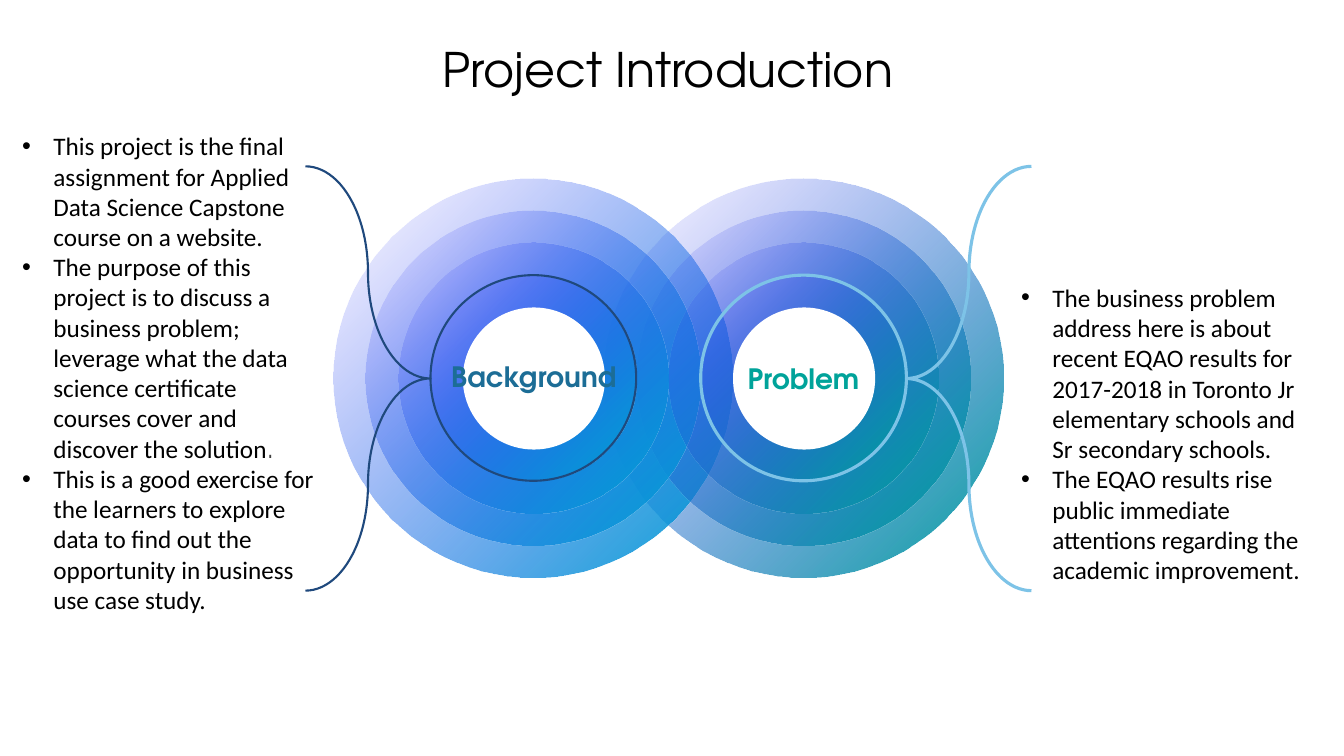
import pptx
import pptx.dml.color
import pptx.enum.shapes
import pptx.enum.text
import pptx.oxml
import pptx.oxml.ns
import pptx.util

EMU_PER_PX = 9144
SLIDE_SIZE = (1333, 750)
CENTER_Y = 375
RING_DIAMETERS = (396, 332, 268, 204)
HOLE_DIAMETER = 141
BULLET_INDENT = 31
HEADING_FONT = "TeX Gyre Adventor"
BODY_FONT = "Calibri"
COLORS = {
    "black": "000000",
    "white": "FFFFFF",
    "grey": "404040",
    "violet": "3D33FE",
    "cyan": "00A5D3",
    "teal": "00A39A",
    "navy": "1F497D",
    "sky": "7DC3E7",
    "steel": "1C6D96",
}
BACKGROUND_POINTS = (
    "This project is the final assignment for Applied Data Science Capstone course on a website.",
    "The purpose of this project is to discuss a business problem; leverage what the data "
    "science certificate courses cover and discover the solution",
    "This is a good exercise for the learners to explore data to find out the opportunity "
    "in business use case study.",
)
PROBLEM_POINTS = (
    "The business problem address here is about recent EQAO results for 2017-2018 in Toronto "
    "Jr elementary schools and Sr secondary schools.",
    "The EQAO results rise public immediate attentions regarding the academic improvement.",
)


def px(length):
    """Turn a length in px into EMU."""
    return pptx.util.Emu(length * EMU_PER_PX)


def rgb(name):
    """Look up a palette colour."""
    return pptx.dml.color.RGBColor.from_string(COLORS[name])


def write(paragraph, text, size=18, font=BODY_FONT, color="black", bold=False):
    """Append formatted text to a paragraph."""
    run = paragraph.add_run()
    run.text = text
    run.font.size = pptx.util.Pt(size)
    run.font.name = font
    run.font.bold = bold
    run.font.color.rgb = rgb(color)


def add_bullet(paragraph):
    """Give a paragraph a hanging round bullet."""
    properties = paragraph._p.get_or_add_pPr()
    properties.set("marL", str(px(BULLET_INDENT)))
    properties.set("indent", str(px(-BULLET_INDENT)))
    namespace = pptx.oxml.ns.nsdecls("a")
    properties.append(pptx.oxml.parse_xml(f'<a:buFont {namespace} typeface="Arial"/>'))
    properties.append(pptx.oxml.parse_xml(f'<a:buChar {namespace} char="•"/>'))


def set_up_frame(frame, middle=False):
    """Wrap a text frame and, if centred vertically, drop its margins."""
    anchors = pptx.enum.text.MSO_ANCHOR
    frame.word_wrap = True
    frame.auto_size = pptx.enum.text.MSO_AUTO_SIZE.SHAPE_TO_FIT_TEXT
    frame.vertical_anchor = anchors.MIDDLE if middle else anchors.TOP
    if middle:
        frame.margin_left = frame.margin_right = 0
        frame.margin_top = frame.margin_bottom = 0


def add_frame(slide, box, middle=False):
    """Add a text box and return its frame."""
    frame = slide.shapes.add_textbox(*map(px, box)).text_frame
    set_up_frame(frame, middle)
    return frame


def add_points(slide, points, box, middle=False):
    """Add a bulleted list and return its paragraphs."""
    frame = add_frame(slide, box, middle)
    for index, point in enumerate(points):
        paragraph = frame.add_paragraph() if index else frame.paragraphs[0]
        add_bullet(paragraph)
        write(paragraph, point)
    return frame.paragraphs


def add_label(slide, text, box, color):
    """Add the bold caption of a ring group."""
    paragraph = add_frame(slide, box, middle=True).paragraphs[0]
    paragraph.alignment = pptx.enum.text.PP_ALIGN.CENTER
    paragraph.line_spacing = 0.85
    write(paragraph, text, size=20, font=HEADING_FONT, color=color, bold=True)


def set_outline(shape, color=None, width=0):
    """Draw a shape's outline, or hide it when no colour is given."""
    if color:
        shape.line.color.rgb = rgb(color)
        shape.line.width = pptx.util.Pt(width)
    else:
        shape.line.fill.background()


def add_disc(slide, center_x, diameter):
    """Add a shadowless circle around a centre."""
    left, top = center_x - diameter // 2, CENTER_Y - diameter // 2
    disc = slide.shapes.add_shape(
        pptx.enum.shapes.MSO_SHAPE.OVAL, px(left), px(top), px(diameter), px(diameter))
    disc.shadow.inherit = False
    return disc


def fill_fading(shape, color):
    """Fill a shape with a radial gradient fading to the upper left."""
    gradient = pptx.oxml.parse_xml(
        f'<a:gradFill {pptx.oxml.ns.nsdecls("a")} rotWithShape="1"><a:gsLst>'
        f'<a:gs pos="0"><a:srgbClr val="{COLORS[color]}"/></a:gs>'
        f'<a:gs pos="100000"><a:srgbClr val="{COLORS["violet"]}"><a:alpha val="0"/></a:srgbClr></a:gs>'
        '</a:gsLst><a:path path="circle"><a:fillToRect l="100000" t="100000"/></a:path></a:gradFill>')
    shape._element.spPr.prstGeom.addnext(gradient)


def add_brace(slide, left, color, width, rotation=0):
    """Add a curly brace pointing at a ring group."""
    brace = slide.shapes.add_shape(
        pptx.enum.shapes.MSO_SHAPE.RIGHT_BRACE, px(left), px(165), px(124), px(421))
    brace.adjustments[0] = 1.345
    brace.adjustments[1] = 0.5
    brace.rotation = rotation
    brace.shadow.inherit = False
    brace.fill.background()
    set_outline(brace, color, width)


def add_title(slide, text):
    """Place and fill the title placeholder."""
    title = slide.shapes.title
    title.left, title.top, title.width, title.height = map(px, (184, 35, 957, 67))
    set_up_frame(title.text_frame)
    paragraph = title.text_frame.paragraphs[0]
    paragraph.alignment = pptx.enum.text.PP_ALIGN.CENTER
    write(paragraph, text, size=34, font=HEADING_FONT)


def main():
    """Build and save the slide."""
    presentation = pptx.Presentation()
    presentation.slide_width, presentation.slide_height = map(px, SLIDE_SIZE)
    slide = presentation.slides.add_slide(presentation.slide_layouts[5])
    add_title(slide, "Project Introduction")

    ring_groups = ((797, "teal", "sky", 2.25), (529, "cyan", "navy", 1.5))
    for diameter in RING_DIAMETERS:
        for center_x, color, outline, width in ring_groups:
            ring = add_disc(slide, center_x, diameter)
            fill_fading(ring, color)
            if diameter == RING_DIAMETERS[-1]:
                set_outline(ring, outline, width)
            else:
                set_outline(ring)
    for center_x, *_ in ring_groups:
        hole = add_disc(slide, center_x, HOLE_DIAMETER)
        hole.fill.solid()
        hole.fill.fore_color.rgb = rgb("white")
        set_outline(hole)

    add_label(slide, "Background", (446, 361, 167, 29), "steel")
    add_label(slide, "Problem", (715, 363, 164, 29), "teal")
    add_brace(slide, 303, "navy", 1.5)
    add_brace(slide, 899, "sky", 2.25, rotation=180)

    background = add_points(slide, BACKGROUND_POINTS, (22, 127, 290, 485), middle=True)
    write(background[1], ".", font=HEADING_FONT, color="grey")
    add_points(slide, PROBLEM_POINTS, (1003, 275, 300, 313))
    presentation.save("out.pptx")


if __name__ == "__main__":
    main()
